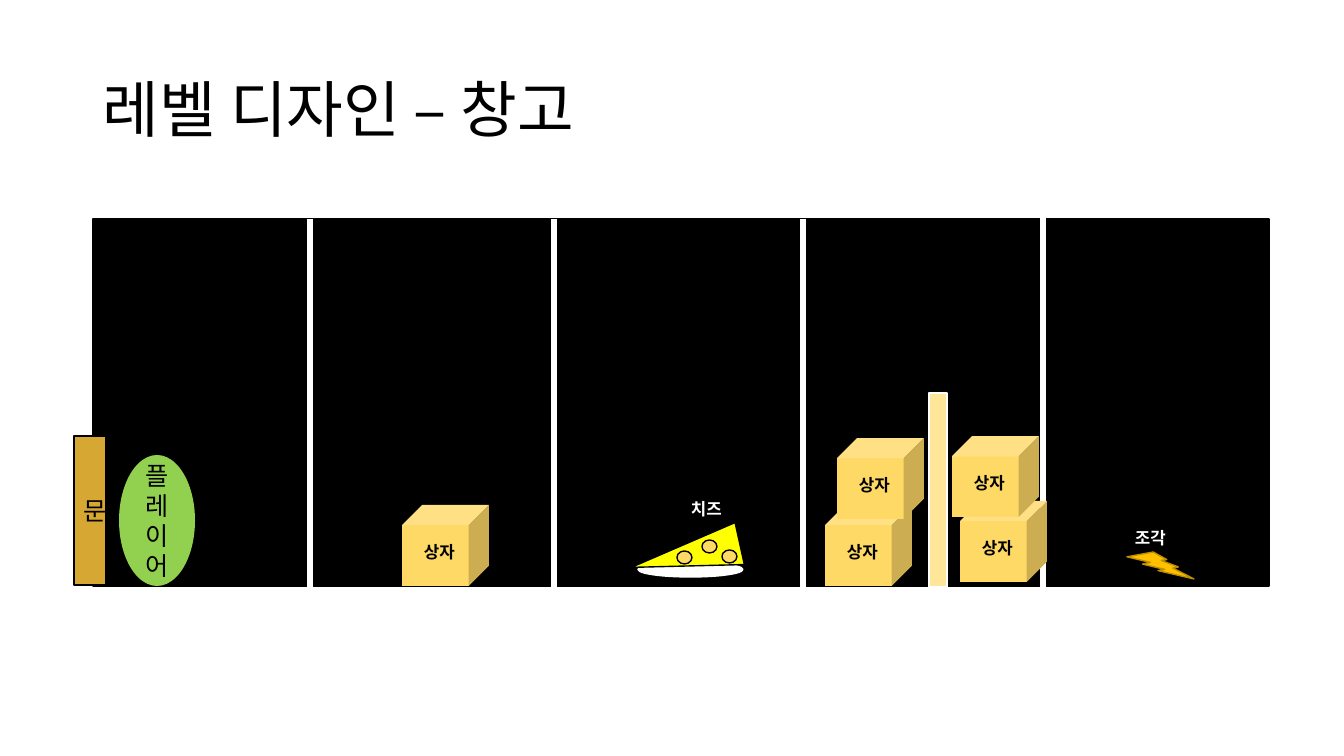
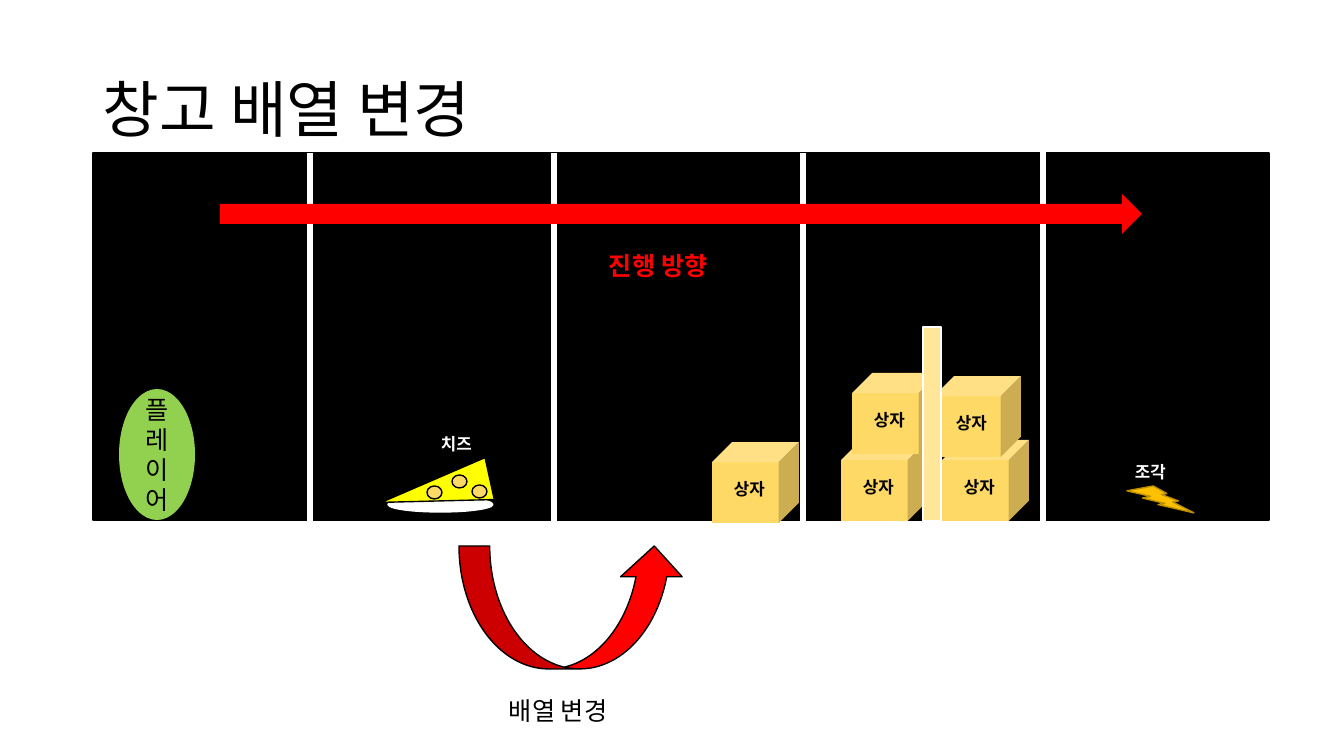
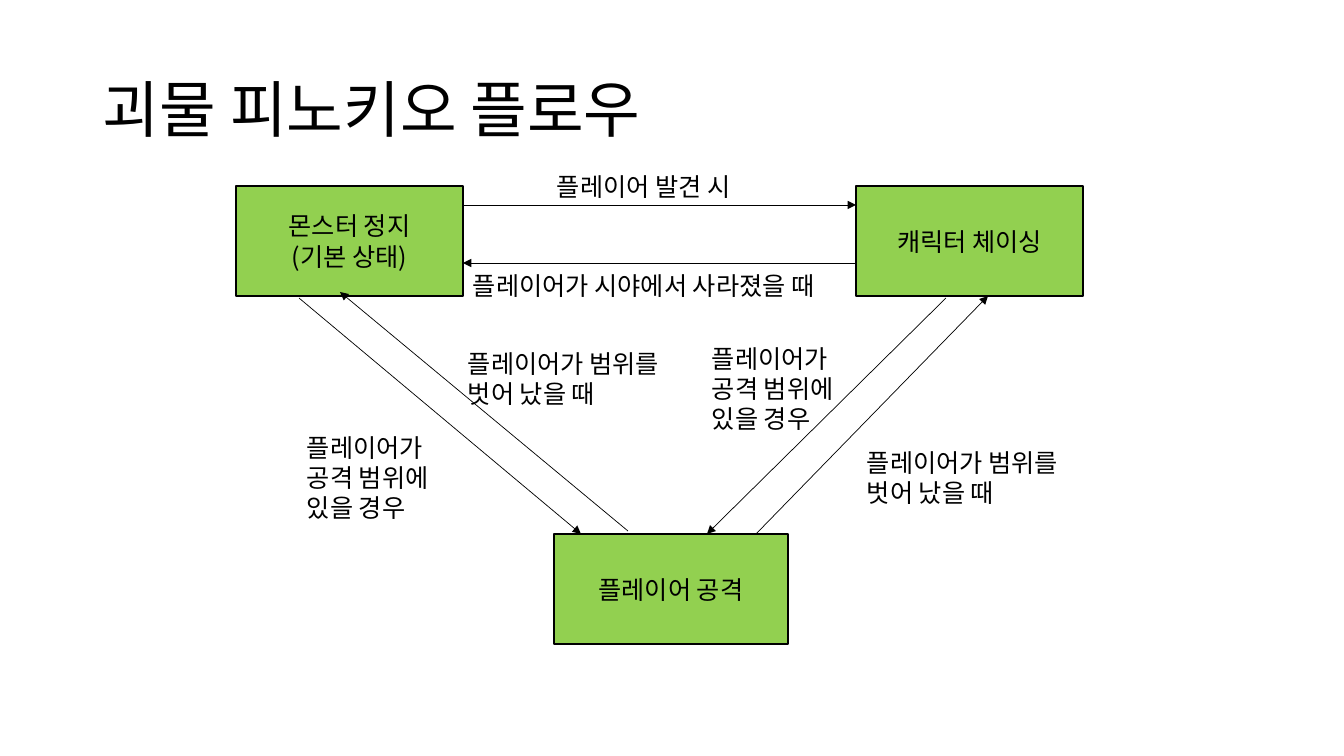
"""Build three game design slides: warehouse level, its rearrangement and the monster flow."""
import pptx
import pptx.dml.color
import pptx.enum.shapes
import pptx.enum.text
import pptx.oxml.ns
import pptx.util
from lxml import etree

SHAPE = pptx.enum.shapes.MSO_SHAPE
ALIGN = pptx.enum.text.PP_ALIGN
ANCHOR = pptx.enum.text.MSO_ANCHOR
qn = pptx.oxml.ns.qn

PX = 914400 / 100.8
FONT = "Noto Sans CJK KR"
BLACK, WHITE, RED, GREEN = "000000", "FFFFFF", "FF0000", "92D050"
CREAM, BOX, DOOR, CHEESE = "FFE699", "FFD966", "D6A732", "FFFF00"
BOLT, BOLT_EDGE = "FFC000", "BD8E00"

DIVIDERS = [(310, 0), (554, 0), (1043, -9), (803, 0)]
CHEESE_HOLES = [(64, 46), (39, 57), (84, 56)]

LEVEL = {
    "title": "레벨 디자인 – 창고",
    "top": 219,
    "cheese": (638, 494),
    "boxes": [(402, 505), (825, 505), (837, 438), (960, 501), (952, 436)],
    "pillar": 929,
}
REARRANGED = {
    "title": "창고 배열 변경",
    "top": 153,
    "cheese": (388, 429),
    "boxes": [(712, 442), (841, 440), (852, 373), (942, 440), (934, 376)],
    "pillar": 923,
}

FLOW_TITLE = "괴물 피노키오 플로우"
STATES = [
    ((236, 186, 227, 110), ["몬스터 정지", "(기본 상태)"]),
    ((856, 186, 227, 110), ["캐릭터 체이싱"]),
    ((554, 534, 234, 110), ["플레이어 공격"]),
]
TRANSITIONS = [
    (463, 205, 856, 205),
    (856, 263, 463, 263),
    (946, 298, 707, 534),
    (756, 534, 988, 296),
    (299, 298, 581, 534),
    (628, 531, 340, 292),
]
IN_RANGE = "플레이어가 공격 범위에 있을 경우"
OUT_OF_RANGE = "플레이어가 범위를 벗어 났을 때"
CONDITIONS = [
    ((547, 166, 227, 40), "플레이어 발견 시"),
    ((463, 265, 416, 40), "플레이어가 시야에서 사라졌을 때"),
    ((297, 427, 166, 102), IN_RANGE),
    ((458, 343, 234, 72), OUT_OF_RANGE),
    ((702, 338, 166, 102), IN_RANGE),
    ((857, 442, 234, 72), OUT_OF_RANGE),
]


def emu(*lengths):
    return [pptx.util.Emu(round(length * PX)) for length in lengths]


def rgb(color):
    return pptx.dml.color.RGBColor.from_string(color)


def write(shape, lines, size=18, color=BLACK, bold=False, align=ALIGN.LEFT,
          anchor=ANCHOR.TOP, spacing=None):
    frame = shape.text_frame
    frame.word_wrap = True
    frame.vertical_anchor = anchor
    frame.text = "\n".join(lines)
    for paragraph in frame.paragraphs:
        paragraph.alignment = align
        if spacing:
            paragraph.line_spacing = spacing
        font = paragraph.font
        font.size = pptx.util.Pt(size)
        font.bold = bold
        font.color.rgb = rgb(color)
        font.name = FONT
        properties = paragraph._p.pPr.find(qn("a:defRPr"))
        etree.SubElement(properties, qn("a:ea"), typeface=FONT)


def add_text(shapes, place, text, **style):
    write(shapes.add_textbox(*emu(*place)), [text], **style)


def add_tag(shapes, left, top, text, color, width=64):
    add_text(shapes, (left, top, width, 30), text, size=12, color=color, bold=True)


def add_figure(shapes, kind, place, fill, edge=None, lines=(), rotation=0):
    shape = shapes.add_shape(kind, *emu(*place))
    shape.shadow.inherit = False
    shape.rotation = rotation
    shape.fill.solid()
    shape.fill.fore_color.rgb = rgb(fill)
    if edge:
        shape.line.color.rgb = rgb(edge)
        shape.line.width = pptx.util.Pt(1)
    else:
        shape.line.fill.background()
    if lines:
        write(shape, lines, align=ALIGN.CENTER, anchor=ANCHOR.MIDDLE)


def add_line(shapes, ends, color, width, arrow=False):
    straight = pptx.enum.shapes.MSO_CONNECTOR.STRAIGHT
    line = shapes.add_connector(straight, *emu(*ends))
    line.line.color.rgb = rgb(color)
    line.line.width = pptx.util.Pt(width)
    if arrow:
        etree.SubElement(line.line._get_or_add_ln(), qn("a:tailEnd"), type="triangle")
    etree.SubElement(line._element.spPr, qn("a:effectLst"))


def add_slide(presentation, title):
    slide = presentation.slides.add_slide(presentation.slide_layouts[6])
    add_text(slide.shapes, (93, 40, 1159, 146), title, size=44,
             anchor=ANCHOR.MIDDLE, spacing=0.9)
    return slide.shapes


def add_box(shapes, left, top):
    group = shapes.add_group_shape().shapes
    add_figure(group, SHAPE.CUBE, (left, top, 87, 81), BOX)
    add_tag(group, left + 12, top + 32, "상자", BLACK)


def add_cheese(shapes, left, top):
    group = shapes.add_group_shape().shapes
    add_figure(group, SHAPE.OVAL, (left, top + 68, 105, 15), WHITE, WHITE)
    add_figure(group, SHAPE.FLOWCHART_MERGE, (left + 26, top + 6, 43, 111),
               CHEESE, BLACK, rotation=77.6)
    for x, y in CHEESE_HOLES:
        add_figure(group, SHAPE.OVAL, (left + x, top + y, 15, 13), BOX, BLACK)
    add_tag(group, left + 43, top, "치즈", WHITE)


def add_warehouse(presentation, room):
    shapes = add_slide(presentation, room["title"])
    top = room["top"]
    add_figure(shapes, SHAPE.RECTANGLE, (93, top, 1176, 367), BLACK, BLACK)
    add_figure(shapes, SHAPE.OVAL, (119, top + 236, 76, 131), GREEN, lines=["플레이어"])
    for x, shift in DIVIDERS:
        add_line(shapes, (x, top + shift, x, top + shift + 385), WHITE, 4.5)
    add_figure(shapes, SHAPE.LIGHTNING_BOLT, (1127, top + 333, 67, 27), BOLT, BOLT_EDGE)
    add_tag(shapes, 1125, top + 304, "조각", WHITE, width=170)
    add_cheese(shapes, *room["cheese"])
    for left, box_top in room["boxes"]:
        add_box(shapes, left, box_top)
    add_figure(shapes, SHAPE.RECTANGLE, (room["pillar"], top + 174, 18, 194), CREAM, WHITE)
    return shapes


def add_flow(presentation):
    shapes = add_slide(presentation, FLOW_TITLE)
    for place, lines in STATES:
        add_figure(shapes, SHAPE.RECTANGLE, place, GREEN, BLACK, lines)
    for ends in TRANSITIONS:
        add_line(shapes, ends, BLACK, 0.5, arrow=True)
    for place, text in CONDITIONS:
        add_text(shapes, place, text)


def main():
    presentation = pptx.Presentation()
    presentation.slide_width, presentation.slide_height = emu(1344, 756)

    level = add_warehouse(presentation, LEVEL)
    add_figure(level, SHAPE.RECTANGLE, (74, 436, 32, 149), DOOR, BLACK, ["문"])

    rearranged = add_warehouse(presentation, REARRANGED)
    add_figure(rearranged, SHAPE.CURVED_UP_ARROW, (459, 546, 226, 123), RED, BLACK)
    add_text(rearranged, (499, 690, 146, 40), "배열 변경")
    add_figure(rearranged, SHAPE.RIGHT_ARROW, (220, 194, 922, 40), RED)
    add_text(rearranged, (599, 245, 146, 40), "진행 방향", color=RED, bold=True)

    add_flow(presentation)
    presentation.save("out.pptx")


if __name__ == "__main__":
    main()
